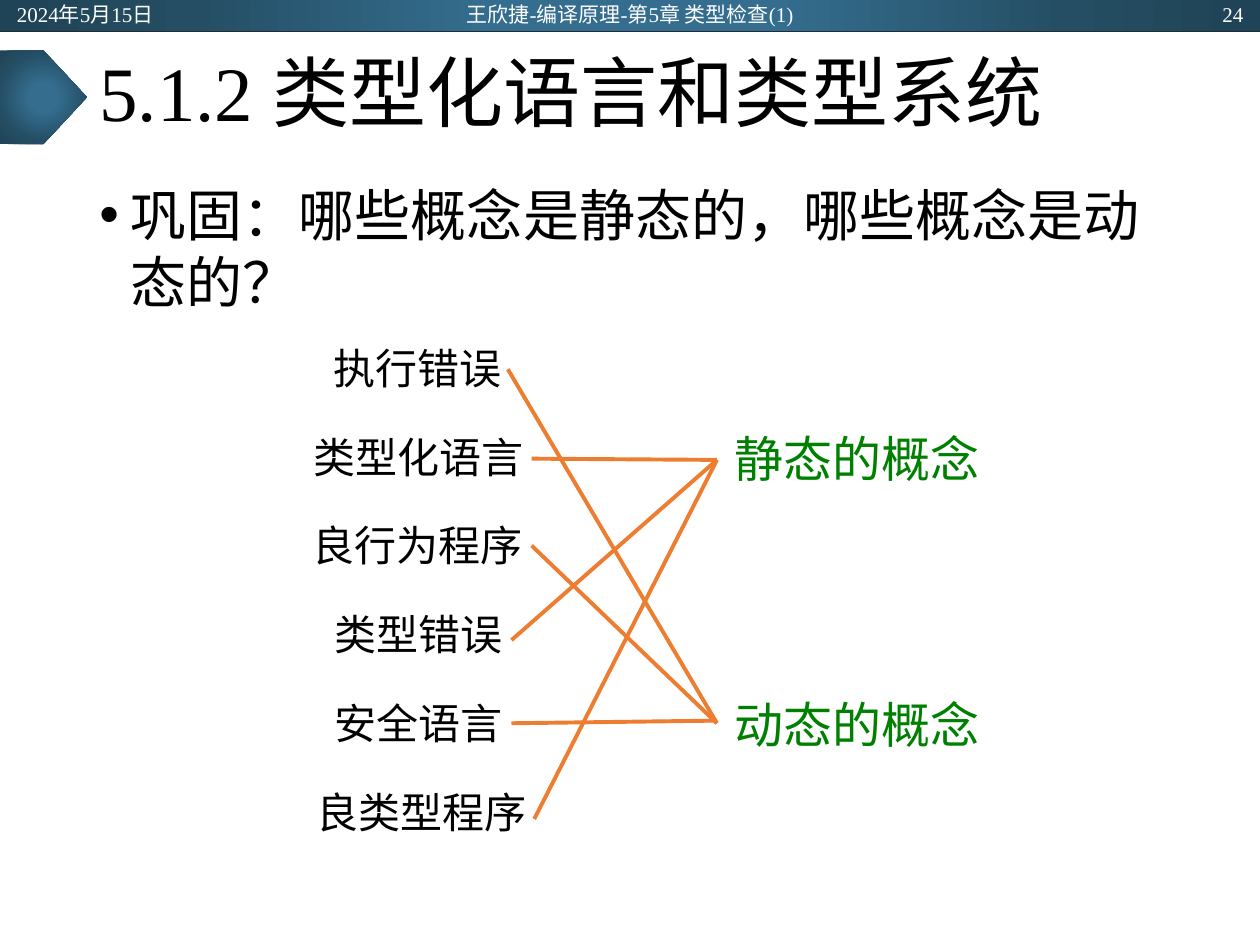
import pptx
import pptx.util
import pptx.dml.color
import pptx.enum.dml
import pptx.enum.lang
import pptx.enum.shapes
import pptx.enum.text
import pptx.oxml
import pptx.oxml.ns

Pt = pptx.util.Pt
RGBColor = pptx.dml.color.RGBColor
Align = pptx.enum.text.PP_ALIGN
Anchor = pptx.enum.text.MSO_ANCHOR
Shape = pptx.enum.shapes.MSO_SHAPE

BLACK = RGBColor(0x00, 0x00, 0x00)
WHITE = RGBColor(0xFF, 0xFF, 0xFF)
GREEN = RGBColor(0x00, 0x80, 0x00)
ORANGE = RGBColor(0xED, 0x7D, 0x31)
NAVY = RGBColor(0x22, 0x2A, 0x35)
STEEL = RGBColor(0x34, 0x6D, 0x8E)
TEAL = RGBColor(0x25, 0x4E, 0x64)
DEEP = RGBColor(0x20, 0x44, 0x57)
GLOW = [(0, STEEL), (23, STEEL), (69, TEAL), (97, DEEP)]

TERMS = [
    ("执行错误", 170, 137.5, (290.2, 211), 413.3),
    ("类型化语言", 167.8, 142.6, (303.8, 262.1), 262.8),
    ("良行为程序", 157, 163.4, (303.8, 311.8), 413.3),
    ("类型错误", 172.8, 132.5, (292.3, 365.8), 262.8),
    ("安全语言", 172.8, 132.5, (292.3, 413.3), 411.8),
    ("良类型程序", 157, 167.8, (305.3, 468), 262.8),
]
TOP, STEP, END = 192.2, 50.7, 409.7


def add_text(slide, text, box, size=24, color=BLACK, align=Align.LEFT,
             anchor=Anchor.TOP, grow=False, bullet=False, space=None):
    """Add a wrapped text box holding one formatted paragraph."""
    frame = slide.shapes.add_textbox(*map(Pt, box)).text_frame
    frame.word_wrap = True
    frame.vertical_anchor = anchor
    if grow:
        frame.auto_size = pptx.enum.text.MSO_AUTO_SIZE.SHAPE_TO_FIT_TEXT
    para = frame.paragraphs[0]
    para.alignment = align
    para.line_spacing = space
    if bullet:
        props = para._p.get_or_add_pPr()
        props.set("marL", str(Pt(18)))
        props.set("indent", str(Pt(-18)))
        space_name = pptx.oxml.ns.nsdecls("a")
        props.append(pptx.oxml.parse_xml(f'<a:buFont {space_name} typeface="Arial"/>'))
        props.append(pptx.oxml.parse_xml(f'<a:buChar {space_name} char="•"/>'))
    run = para.add_run()
    run.text = text
    run.font.name = "Times New Roman"
    run.font.size = Pt(size)
    run.font.color.rgb = color
    run.font.language_id = pptx.enum.lang.MSO_LANGUAGE_ID.SIMPLIFIED_CHINESE


def add_glow(slide, kind, box):
    """Add a borderless shape with a round gradient fill."""
    shape = slide.shapes.add_shape(kind, *map(Pt, box))
    shape.shadow.inherit = False
    shape.line.fill.background()
    stops = "".join(f'<a:gs pos="{pos * 1000}"><a:srgbClr val="{color}"/></a:gs>'
                    for pos, color in GLOW)
    fill = pptx.oxml.parse_xml(
        f'<a:gradFill {pptx.oxml.ns.nsdecls("a")}><a:gsLst>{stops}</a:gsLst>'
        '<a:path path="circle"><a:fillToRect l="50000" t="50000" r="50000" b="50000"/>'
        '</a:path></a:gradFill>')
    shape._element.spPr.find(pptx.oxml.ns.qn("a:prstGeom")).addnext(fill)


def add_line(shapes, start, end, color, width):
    """Add a straight line without a shadow."""
    line = shapes.add_connector(pptx.enum.shapes.MSO_CONNECTOR.STRAIGHT,
                                *map(Pt, (*start, *end)))
    line.line.color.rgb = color
    line.line.width = Pt(width)
    line._element.spPr.append(pptx.oxml.parse_xml(
        f'<a:effectLst {pptx.oxml.ns.nsdecls("a")}/>'))


def add_frame(slide):
    """Add the top band with its three labels and the title marker."""
    add_glow(slide, Shape.RECTANGLE, (0, 0, 720, 18))
    add_line(slide.shapes, (0, 18), (720, 18), NAVY, 0.5)
    add_glow(slide, Shape.PENTAGON, (0, 28.8, 49.7, 53.5))
    for text, left, width, align in [
            ("2024年5月15日", 2.6, 162, Align.LEFT),
            ("王欣捷-编译原理-第5章 类型检查(1)", 238.5, 243, Align.CENTER),
            ("24", 555.6, 162, Align.RIGHT)]:
        add_text(slide, text, (left, 0.9, width, 14.4), size=12, color=WHITE,
                 align=align, anchor=Anchor.MIDDLE)


def add_match(slide):
    """Add the terms, the two kinds of concept and the lines between."""
    for row, (text, left, width, _, _) in enumerate(TERMS):
        add_text(slide, text, (left, TOP + row * STEP, width, 36),
                 align=Align.CENTER, grow=True)
    for text, top in [("静态的概念", 241.2), ("动态的概念", 393.1)]:
        add_text(slide, text, (399.6, top, 180, 41), size=28, color=GREEN,
                 align=Align.CENTER, grow=True)
    group = slide.shapes.add_group_shape()
    for _, _, _, start, level in TERMS:
        add_line(group.shapes, start, (END, level), ORANGE, 2.25)


def main():
    """Build the slide and save it."""
    deck = pptx.Presentation()
    deck.slide_width, deck.slide_height = Pt(720), Pt(540)
    slide = deck.slides.add_slide(deck.slide_layouts[6])
    add_frame(slide)
    add_text(slide, "5.1.2 类型化语言和类型系统", (49.7, 18, 620.6, 74.9),
             size=44, anchor=Anchor.MIDDLE, space=0.9)
    add_text(slide, "巩固：哪些概念是静态的，哪些概念是动态的？",
             (49.7, 99.4, 620.6, 92.9), size=32, bullet=True)
    add_match(slide)
    deck.save("out.pptx")


if __name__ == "__main__":
    main()
